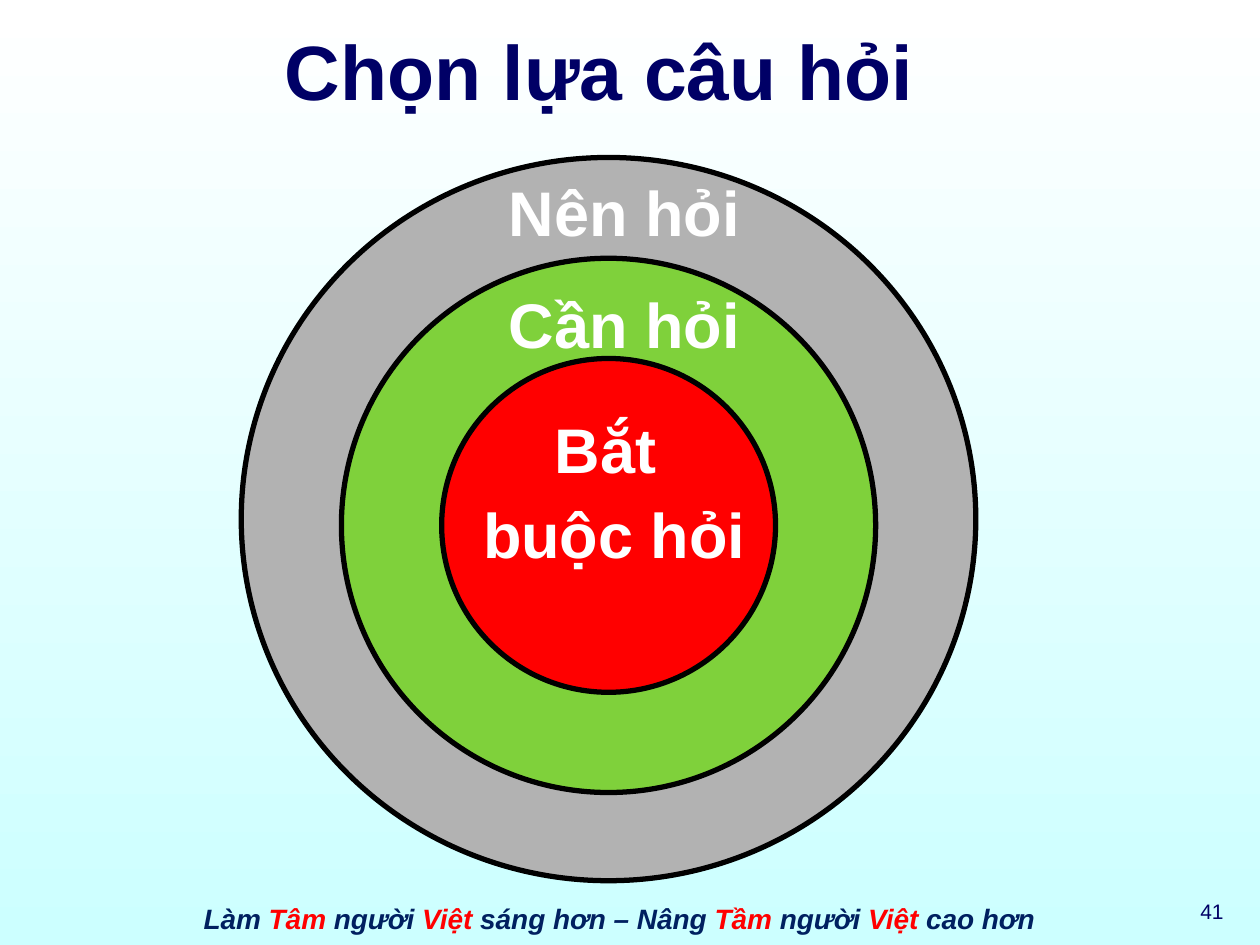
import pptx
import pptx.util
import pptx.dml.color
import pptx.enum.shapes
import pptx.enum.text

Inches = pptx.util.Inches
Pt = pptx.util.Pt
Align = pptx.enum.text.PP_ALIGN
Anchor = pptx.enum.text.MSO_ANCHOR

THEME = {
    "font": "Arial",
    "navy": "000066", "ink": "002060", "red": "FF0000", "white": "FFFFFF",
    "gray": "B2B2B2", "green": "7FD13B", "black": "000000", "sky": "CCFFFF",
    "title": 44, "label": 36, "foot": 16, "page": 12,
}

MID = 4.83
RINGS = [
    (5.83, 5.74, 4.12, "gray"),
    (4.24, 4.24, 4.17, "green"),
    (2.65, 2.65, 4.17, "red"),
]
LABELS = [
    ((3.33, 1.33, 3.25, 0.7), ["Nên hỏi"], None),
    ((3.33, 2.22, 3.25, 0.7), ["Cần hỏi"], None),
    ((3.25, 3.42, 3.25, 1.14), ["Bắt ", "buộc hỏi"], 0.6),
]
MOTTO = [
    ("Làm ", "ink"), ("Tâm ", "red"), ("người ", "ink"), ("Việt", "red"),
    (" sáng hơn – Nâng ", "ink"), ("Tầm", "red"), (" người ", "ink"),
    ("Việt", "red"), (" cao hơn", "ink"),
]


def color(name):
    return pptx.dml.color.RGBColor.from_string(THEME[name])


def add_text(slide, box, lines, size, bold=True, italic=False,
             align=Align.CENTER, anchor=Anchor.TOP, space=None):
    frame = slide.shapes.add_textbox(*map(Inches, box)).text_frame
    frame.word_wrap = True
    frame.vertical_anchor = anchor
    for i, line in enumerate(lines):
        para = frame.add_paragraph() if i else frame.paragraphs[0]
        para.alignment = align
        if space:
            para.line_spacing = space
        if i:
            para.space_before = Pt(22.5)
        for text, tone in line:
            run = para.add_run()
            run.text = text
            run.font.name = THEME["font"]
            run.font.size = Pt(THEME[size])
            run.font.bold = bold
            run.font.italic = italic
            run.font.color.rgb = color(tone)


def add_ring(slide, wide, high, mid, tone):
    ring = slide.shapes.add_shape(
        pptx.enum.shapes.MSO_SHAPE.OVAL,
        Inches(MID - wide / 2), Inches(mid - high / 2),
        Inches(wide), Inches(high))
    ring.shadow.inherit = False
    ring.fill.solid()
    ring.fill.fore_color.rgb = color(tone)
    ring.line.color.rgb = color("black")
    ring.line.width = Pt(3)


def main():
    deck = pptx.Presentation()
    deck.slide_width, deck.slide_height = Inches(10), Inches(7.5)
    slide = deck.slides.add_slide(deck.slide_layouts[6])

    fill = slide.background.fill
    fill.gradient()
    fill.gradient_angle = 270
    for stop, tone, place in zip(fill.gradient_stops, ("white", "sky"), (0, 1)):
        stop.color.rgb = color(tone)
        stop.position = place

    add_text(slide, (0.5, 7.11, 8.83, 0.37), [MOTTO], "foot", italic=True)
    add_text(slide, (0.27, 0.15, 8.98, 0.94), [[("Chọn lựa câu hỏi", "navy")]],
             "title", anchor=Anchor.MIDDLE, space=0.8)
    add_text(slide, (8.75, 7.08, 1.06, 0.33), [[("41", "navy")]],
             "page", bold=False, align=Align.RIGHT)
    for ring in RINGS:
        add_ring(slide, *ring)
    for box, lines, space in LABELS:
        add_text(slide, box, [[(line, "white")] for line in lines],
                 "label", space=space)

    deck.save("out.pptx")


if __name__ == "__main__":
    main()
